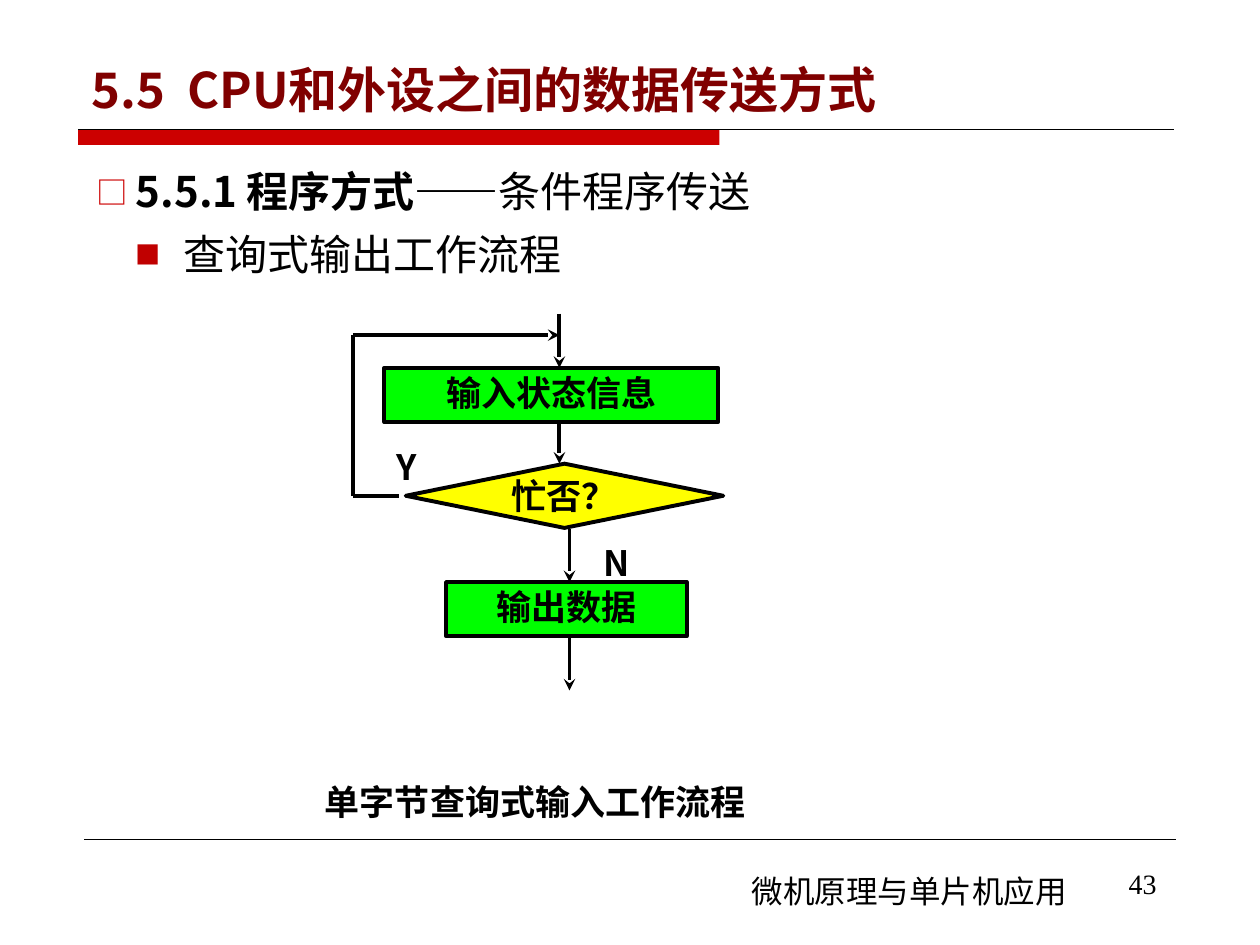
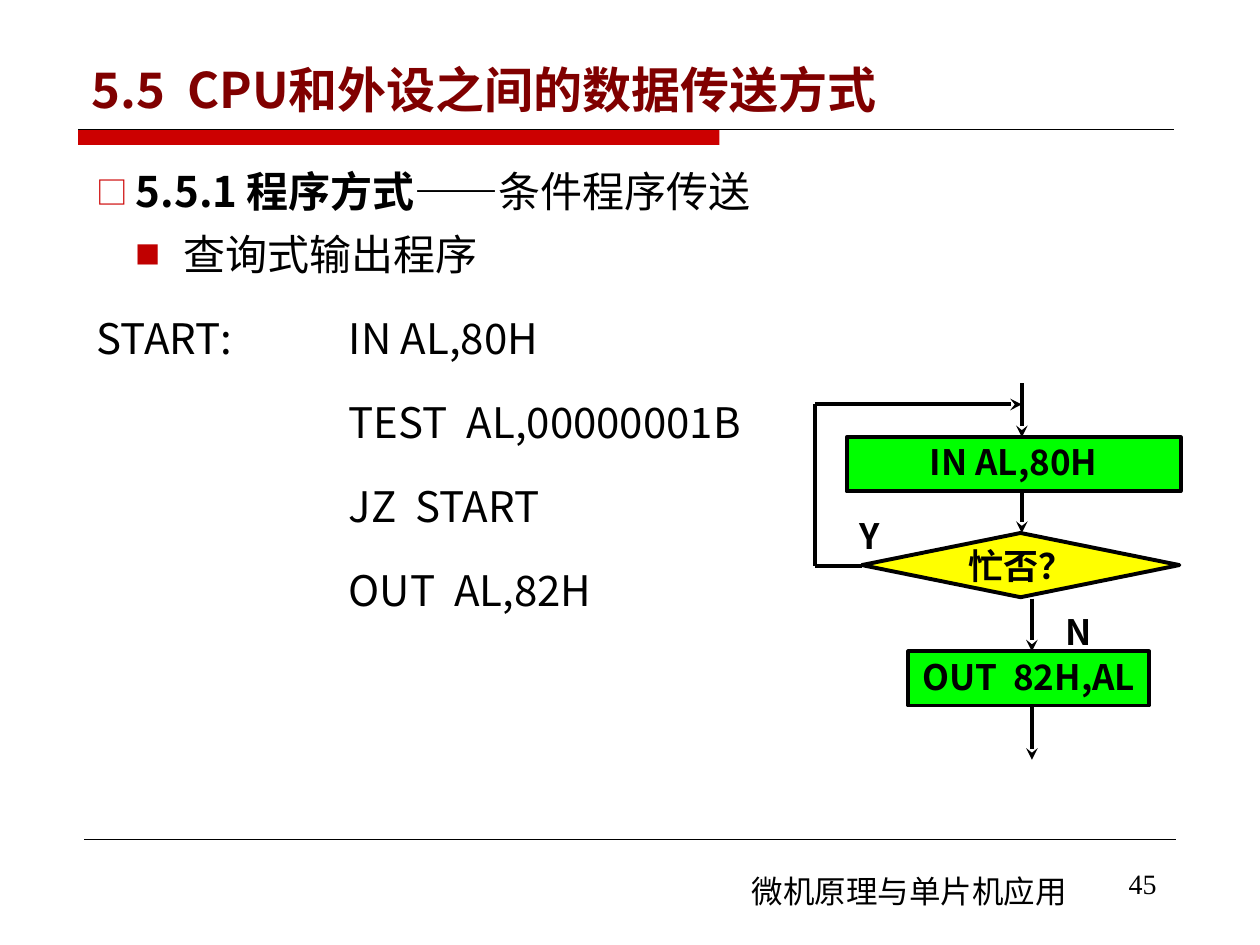
from lxml import etree
from pptx import Presentation
from pptx.dml.color import RGBColor
from pptx.enum.shapes import MSO_CONNECTOR, MSO_SHAPE
from pptx.enum.text import MSO_ANCHOR, PP_ALIGN
from pptx.oxml.ns import qn
from pptx.util import Inches, Pt

STRAIGHT = MSO_CONNECTOR.STRAIGHT
RECTANGLE, DIAMOND = MSO_SHAPE.RECTANGLE, MSO_SHAPE.DIAMOND
TOP, MIDDLE, BOTTOM = MSO_ANCHOR.TOP, MSO_ANCHOR.MIDDLE, MSO_ANCHOR.BOTTOM
CENTER = PP_ALIGN.CENTER

BLACK = RGBColor(0, 0, 0)
MAROON = RGBColor(0x80, 0, 0)
RED = RGBColor(0xCC, 0, 0)
DARK_RED = RGBColor(0xC0, 0, 0)
GREEN = RGBColor(0, 0xFF, 0)
YELLOW = RGBColor(0xFF, 0xFF, 0)

BODY_FONT = "Noto Sans CJK SC"
CHART_FONT = "Noto Sans CJK KR"
NUMBER_FONT = "Times New Roman"
LINE_RATIO = 1.29

TITLE = "5.5  CPU和外设之间的数据传送方式"
FOOTER = "微机原理与单片机应用"
SECTION = "5.5.1 程序方式——"
TOPIC = "条件程序传送"


def add_child(parent, tag, **attributes):
    """Append a drawing element with the given attributes."""
    child = etree.SubElement(parent, qn(tag))
    for name, value in attributes.items():
        child.set(name, str(value))
    return child


def add_span(para, text, size, font=BODY_FONT, color=BLACK, bold=False):
    """Add one styled run for Latin and East Asian text."""
    span = para.add_run()
    span.text = text
    span.font.size = Pt(size)
    span.font.name = font
    span.font.bold = bold
    span.font.color.rgb = color
    add_child(span.font._element, "a:ea", typeface=font)


def add_frame(page, left, top, width, height, anchor=TOP):
    """Add a wrapping text box and return its text frame."""
    box = page.shapes.add_textbox(Inches(left), Inches(top), Inches(width), Inches(height))
    frame = box.text_frame
    frame.word_wrap = True
    frame.vertical_anchor = anchor
    return frame


def add_label(page, left, top, width, height, text, size, font=CHART_FONT, bold=True):
    """Add a one-line text box."""
    para = add_frame(page, left, top, width, height).paragraphs[0]
    para.line_spacing = Pt(size * LINE_RATIO)
    add_span(para, text, size, font, bold=bold)


def add_line(page, start, end, width=2.25, arrow=False):
    """Draw a straight black line, with an arrowhead on request."""
    line = page.shapes.add_connector(STRAIGHT, *(Inches(value) for value in (*start, *end)))
    line.line.color.rgb = BLACK
    line.line.width = Pt(width)
    if arrow:
        add_child(line.line._get_or_add_ln(), "a:tailEnd", type="stealth", w="med", len="med")
    add_child(line._element.spPr, "a:effectLst")


def add_step(page, kind, left, top, width, height, fill, text):
    """Draw one labelled node of the flow chart."""
    node = page.shapes.add_shape(kind, Inches(left), Inches(top), Inches(width), Inches(height))
    node.shadow.inherit = False
    node.fill.solid()
    node.fill.fore_color.rgb = fill
    node.line.color.rgb = BLACK
    node.line.width = Pt(2.25)
    frame = node.text_frame
    frame.vertical_anchor = MIDDLE
    frame.word_wrap = kind != DIAMOND
    if kind == RECTANGLE:
        frame.margin_left = frame.margin_right = Inches(0.06)
        frame.margin_top, frame.margin_bottom = Inches(0.01), Inches(0.05)
    para = frame.paragraphs[0]
    para.alignment = CENTER
    add_span(para, text, 20, CHART_FONT, bold=True)


def add_flow(page, left, top, first, last, diamond_gap):
    """Draw the polling loop from the top left corner of its box."""
    entry, leave = left + 1.64, left + 1.72
    loop_top, loop_bottom = top + 0.17, top + 1.45
    add_step(page, RECTANGLE, left + 0.25, top + 0.43, 2.65, 0.43, GREEN, first)
    add_step(page, RECTANGLE, left + 0.74, top + 2.13, 1.91, 0.43, GREEN, last)
    add_label(page, left + 0.25, top + 0.97, 0.88, 0.43, "Y", 20)
    add_label(page, left + 1.89, top + 1.73, 0.89, 0.43, "N", 20)
    for x, start, end in ((entry, 0, 0.43), (entry, 0.85, 1.19),
                          (leave, 1.71, 2.13), (leave, 2.56, 2.99)):
        add_line(page, (x, top + start), (x, top + end), arrow=True)
    add_line(page, (left, loop_top), (left, loop_bottom))
    add_line(page, (left, loop_top), (entry, loop_top), arrow=True)
    add_step(page, DIAMOND, left + diamond_gap, top + 1.19, 2.52, 0.51, YELLOW, "忙否？")
    add_line(page, (left, loop_bottom), (left + 0.37, loop_bottom))


def set_bullet(para, margin, indent, mark, color, percent):
    """Give a paragraph a hanging coloured bullet."""
    props = para._p.get_or_add_pPr()
    props.set("marL", str(Inches(margin)))
    props.set("indent", str(Inches(indent)))
    add_child(add_child(props, "a:buClr"), "a:srgbClr", val=color)
    add_child(props, "a:buSzPct", val=percent * 1000)
    add_child(props, "a:buFont", typeface=BODY_FONT)
    add_child(props, "a:buChar", char=mark)


def add_body(page, left, top, width, height, subject, code=()):
    """Write the section heading, its subject and any program lines."""
    frame = add_frame(page, left, top, width, height)
    heading = frame.paragraphs[0]
    heading.line_spacing = Pt(37)
    set_bullet(heading, 0.31, -0.31, "□", RED, 75)
    add_span(heading, SECTION, 24, bold=True)
    add_span(heading, TOPIC, 24)
    para = frame.add_paragraph()
    para.level = 1
    para.line_spacing = Pt(36)
    set_bullet(para, 0.69, -0.38, "■", DARK_RED, 60)
    add_span(para, subject, 24)
    for text in code:
        para = frame.add_paragraph()
        para.line_spacing = Pt(43.2)
        para.space_before = Pt(4.8)
        stops = add_child(para._p.get_or_add_pPr(), "a:tabLst")
        for stop in (1, 2):
            add_child(stops, "a:tab", pos=Inches(stop), algn="l")
        add_span(para, text, 24)


def add_page(deck, number):
    """Add a page with the shared title, band and footer."""
    page = deck.slides.add_slide(deck.slide_layouts[6])
    add_label(page, 5.87, 6.85, 2.76, 0.4, FOOTER, 18, BODY_FONT, False)
    band = page.shapes.add_shape(RECTANGLE, Inches(0.62), Inches(1.03), Inches(5.09), Inches(0.12))
    band.shadow.inherit = False
    band.fill.solid()
    band.fill.fore_color.rgb = RED
    band.line.fill.background()
    add_line(page, (0.62, 1.03), (9.32, 1.03), 0.75)
    add_line(page, (0.67, 6.66), (9.33, 6.66), 0.25)
    title = add_frame(page, 0.63, 0.21, 8.75, 0.74, BOTTOM)
    title.margin_bottom = Inches(0.01)
    add_span(title.paragraphs[0], TITLE, 28, color=MAROON, bold=True)
    counter = add_frame(page, 8.86, 6.83, 0.79, 0.52)
    add_span(counter.paragraphs[0], number, 16, NUMBER_FONT)
    return page


def add_flow_page(deck):
    """Build the page with the general flow chart."""
    page = add_page(deck, "43")
    add_body(page, 0.67, 1.15, 8.7, 5.39, "查询式输出工作流程")
    add_label(page, 2.48, 6.12, 4.28, 0.43, "单字节查询式输入工作流程", 20)
    add_flow(page, 2.8, 2.49, "输入状态信息", "输出数据", 0.42)


def add_program_page(deck):
    """Build the page with the program beside its flow chart."""
    page = add_page(deck, "45")
    code = ("START: \tIN AL,80H", "\t\tTEST  AL,00000001B", "\t\tJZ  START", "\t\tOUT  AL,82H")
    add_body(page, 0.67, 1.15, 8.7, 5.39, "查询式输出程序", code)
    add_flow(page, 6.47, 3.04, "IN AL,80H", "OUT  82H,AL", 0.37)


def main():
    """Build and save the deck."""
    deck = Presentation()
    deck.slide_width, deck.slide_height = Inches(10), Inches(7.5)
    add_flow_page(deck)
    add_program_page(deck)
    deck.save("out.pptx")


main()
